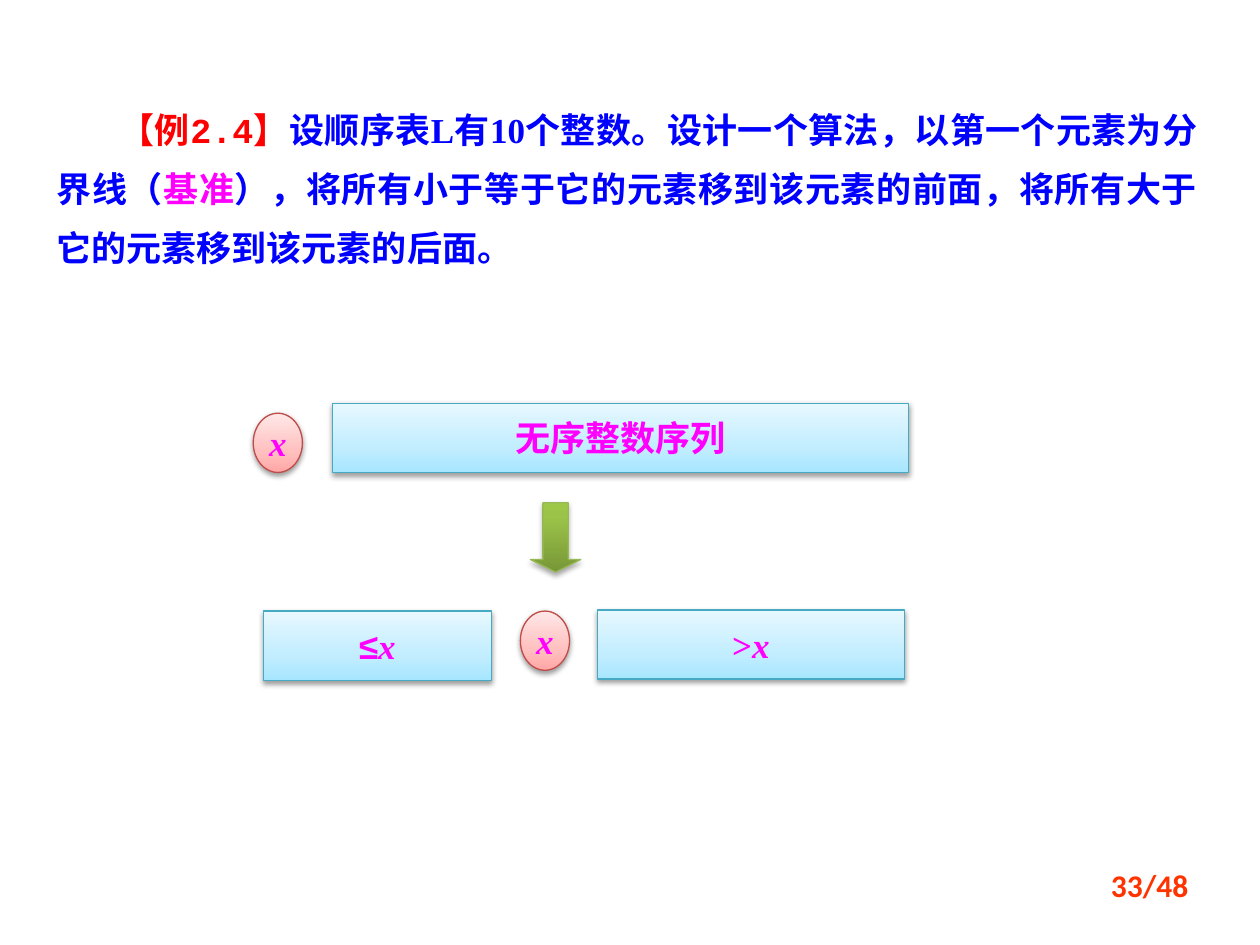
from lxml import etree
from pptx import Presentation
from pptx import util as u
from pptx.dml.color import RGBColor
from pptx.enum import shapes, text
from pptx.oxml import ns

SERIF, CJK = "Times New Roman", "Noto Sans CJK SC"
BLUE, MAGENTA, RED, ORANGE = "0000FF", "FF00FF", "FF0000", "FF3300"

# Runs: text, font, colour, italic
problem = [
    ("【例2.4】", "Courier New", RED, False),
    ("设顺序表L有10个整数。设计一个算法，以第一个元素为分界线（", SERIF, BLUE, False),
    ("基准", SERIF, MAGENTA, False),
    ("），将所有小于等于它的元素移到该元素的前面，将所有大于它的元素移到该元素的后面。",
     SERIF, BLUE, False),
]
page_number = [("33/48", "Calibri", ORANGE, False)]
pivot = [("x", SERIF, MAGENTA, True)]
unsorted_list = [("无序整数序列", CJK, MAGENTA, False)]
smaller = [("≤", "Arial", MAGENTA, False)] + pivot
larger = [(">", SERIF, MAGENTA, False)] + pivot

# Styles: preset, gradient stops, line, shadow opacity and distance
styles = {
    "pivot": (shapes.MSO_SHAPE.OVAL,
              [(0, "FFA6A5"), (35, "FFC0BF"), (100, "FFE7E7")], "BF4C48", 38, 1.6),
    "list": (shapes.MSO_SHAPE.RECTANGLE,
             [(0, "A7E6FF"), (35, "C1EDFF"), (100, "E7F8FF")], "46AAC5", 38, 1.6),
    "arrow": (shapes.MSO_SHAPE.DOWN_ARROW,
              [(0, "779737"), (80, "9BC348"), (100, "9DC746")], "98B955", 35, 1.8),
}

# Groups of parts: style, left, top, width, height, runs
before = [
    ("pivot", 2.01, 3.28, 0.39, 0.47, pivot),
    ("list", 2.64, 3.2, 4.57, 0.55, unsorted_list),
]
after = [
    ("arrow", 4.21, 3.99, 0.4, 0.55, []),
    ("list", 2.09, 4.85, 1.81, 0.55, smaller),
    ("pivot", 4.13, 4.85, 0.39, 0.47, pivot),
    ("list", 4.74, 4.84, 2.44, 0.55, larger),
]


def colour(value):
    return RGBColor.from_string(value)


def add_child(parent, tag, **attributes):
    child = etree.SubElement(parent, ns.qn(tag))
    for name, value in attributes.items():
        child.set(name, str(value))
    return child


def write(paragraph, runs, size, alignment):
    paragraph.alignment = alignment
    for words, font_name, font_colour, italic in runs:
        run = paragraph.add_run()
        run.text = words
        run.font.name = font_name
        run.font.size = u.Pt(size)
        run.font.bold = True
        run.font.italic = italic
        run.font.color.rgb = colour(font_colour)
        if any(letter >= "一" for letter in words):
            add_child(run.font._element, "a:ea", typeface=CJK)


def add_text(slide, box, runs, size, alignment):
    shape = slide.shapes.add_textbox(*map(u.Inches, box))
    shape.text_frame.word_wrap = True
    write(shape.text_frame.paragraphs[0], runs, size, alignment)
    return shape


def add_part(group, style, left, top, width, height, runs):
    preset, stops, line, opacity, distance = styles[style]
    shape = group.shapes.add_shape(preset, *map(u.Inches, (left, top, width, height)))
    if style == "arrow":
        shape.adjustments[0], shape.adjustments[1] = 0.5, 0.25
    shape.line.color.rgb = colour(line)
    shape.line.width = u.Pt(0.75)

    # Gradient rising from the bottom edge
    shape.fill.gradient()
    shape.fill.gradient_angle = 90
    stop_list = shape._element.spPr.find(".//" + ns.qn("a:gsLst"))
    for old_stop in list(stop_list):
        stop_list.remove(old_stop)
    for position, value in stops:
        stop = add_child(stop_list, "a:gs", pos=position * 1000)
        add_child(stop, "a:srgbClr", val=value)

    # Soft shadow below
    shape.shadow.inherit = False
    effects = shape._element.spPr.find(ns.qn("a:effectLst"))
    shadow = add_child(effects, "a:outerShdw", blurRad=u.Pt(3.1), dist=u.Pt(distance),
                       dir=90 * 60000, rotWithShape=0)
    add_child(add_child(shadow, "a:srgbClr", val="000000"), "a:alpha", val=opacity * 1000)

    if runs:
        frame = shape.text_frame
        frame.word_wrap = False
        frame.vertical_anchor = text.MSO_ANCHOR.MIDDLE
        write(frame.paragraphs[0], runs, 20, text.PP_ALIGN.CENTER)


def main():
    presentation = Presentation()
    presentation.slide_width, presentation.slide_height = u.Inches(10), u.Inches(7.5)
    slide = presentation.slides.add_slide(presentation.slide_layouts[6])

    # Problem statement with an indented first line
    statement = add_text(slide, (0.35, 0.68, 9.25, 1.61), problem, 20,
                         text.PP_ALIGN.JUSTIFY)
    statement.text_frame.auto_size = text.MSO_AUTO_SIZE.SHAPE_TO_FIT_TEXT
    paragraph = statement.text_frame.paragraphs[0]
    paragraph.line_spacing = 1.4
    paragraph._p.get_or_add_pPr().set("indent", str(u.Inches(0.5)))

    # List before and after partitioning
    for parts in (before, after):
        group = slide.shapes.add_group_shape()
        for part in parts:
            add_part(group, *part)

    add_text(slide, (7.2, 6.82, 2.33, 0.52), page_number, 18, text.PP_ALIGN.RIGHT)
    presentation.save("out.pptx")


if __name__ == "__main__":
    main()
